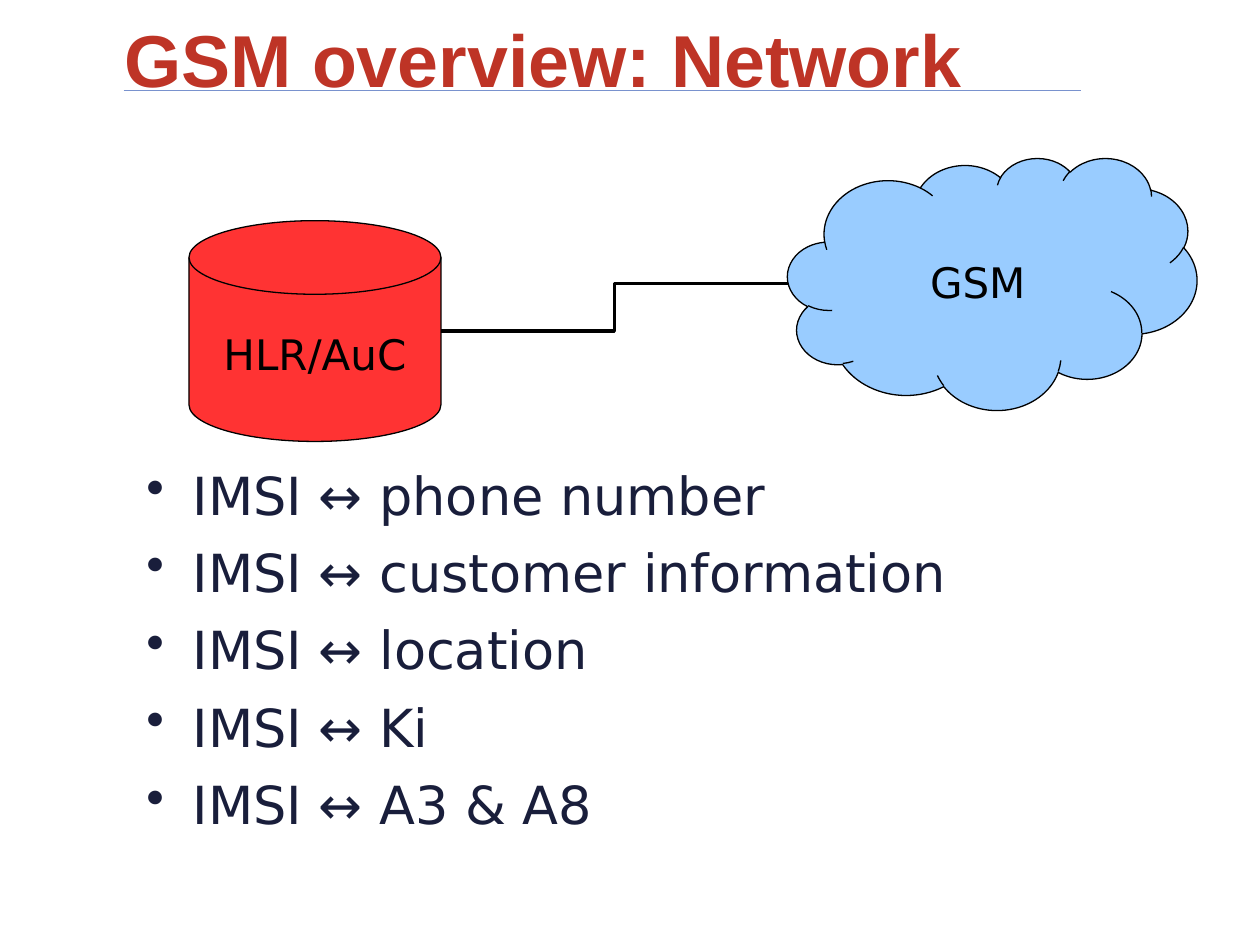
"""Build the GSM network overview slide."""
import pptx
import pptx.dml.color
import pptx.enum.shapes
import pptx.enum.text
import pptx.oxml
import pptx.oxml.ns
import pptx.util
from lxml import etree

Cm = pptx.util.Cm
Pt = pptx.util.Pt
RGB = pptx.dml.color.RGBColor
KIND = pptx.enum.shapes.MSO_SHAPE
LINK = pptx.enum.shapes.MSO_CONNECTOR
MID = pptx.enum.text.MSO_ANCHOR.MIDDLE
CENTER = pptx.enum.text.PP_ALIGN.CENTER
qn = pptx.oxml.ns.qn

BLACK = RGB(0x00, 0x00, 0x00)
BRICK = RGB(0xBE, 0x34, 0x26)
RULE = RGB(0x79, 0x92, 0xCE)
SKY = RGB(0x99, 0xCC, 0xFF)
RED = RGB(0xFF, 0x33, 0x33)
NAVY = RGB(0x19, 0x1E, 0x3B)
SANS = "DejaVu Sans"
FACTS = ["phone number", "customer information", "location", "Ki", "A3 & A8"]


def style(para, face, size, color, space, bold=False):
    para.line_spacing = space
    font = para.font
    font.name, font.size, font.bold = face, Pt(size), bold
    font.color.rgb = color


def add_box(slide, left, top, width, height, pads=(0, 0, 0, 0)):
    box = slide.shapes.add_textbox(Cm(left), Cm(top), Cm(width), Cm(height))
    frame = box.text_frame
    frame.word_wrap = True
    (frame.margin_left, frame.margin_top,
     frame.margin_right, frame.margin_bottom) = map(Cm, pads)
    return frame


def add_title(slide, text):
    frame = add_box(slide, 2.51, -0.15, 22.73, 2.21)
    frame.vertical_anchor = MID
    para = frame.paragraphs[0]
    para.text = text
    style(para, "Arial", 42, BRICK, 1.24, True)


def add_line(slide, kind, start, end, color, width):
    line = slide.shapes.add_connector(kind, *map(Cm, start + end))
    line.line.color.rgb = color
    line.line.width = Pt(width)
    etree.SubElement(line._element.spPr, qn("a:effectLst"))


def add_node(slide, kind, place, fill, text, wrap):
    node = slide.shapes.add_shape(kind, *map(Cm, place))
    node.shadow.inherit = False
    node.fill.solid()
    node.fill.fore_color.rgb = fill
    node.line.color.rgb = BLACK
    node.line.width = Pt(0)
    frame = node.text_frame
    frame.word_wrap = wrap
    frame.vertical_anchor = MID
    para = frame.paragraphs[0]
    para.text = text
    para.alignment = CENTER
    style(para, SANS, 24, BLACK, 1.16)


def add_dot(para):
    props = para._p.get_or_add_pPr()
    props.set("marL", str(Cm(0.94)))
    props.set("indent", str(Cm(-0.94)))
    etree.SubElement(props, qn("a:buChar"), char="•")


def add_list(slide, facts):
    frame = add_box(slide, 2.95, 9.2, 16.74, 8.58, (0, 0.1, 0.05, 0))
    for num, fact in enumerate(facts):
        para = frame.add_paragraph() if num else frame.paragraphs[0]
        para.text = f"IMSI ↔ {fact}"
        add_dot(para)
        style(para, SANS, 30, NAVY, 1.02)
        para.space_before = Pt(7.5 if num else 0)


def main():
    deck = pptx.Presentation()
    deck.slide_width, deck.slide_height = Cm(25.4), Cm(19.05)
    slide = deck.slides.add_slide(deck.slide_layouts[6])
    add_line(slide, LINK.STRAIGHT, (2.49, 1.83), (21.79, 1.83), RULE, 0.75)
    add_title(slide, "GSM overview: Network")
    add_node(slide, KIND.CLOUD, (15.88, 3.18, 8.25, 5.08), SKY, "GSM", False)
    add_node(slide, KIND.FLOWCHART_MAGNETIC_DISK, (3.81, 4.45, 5.08, 4.45),
             RED, "HLR/AuC", True)
    add_line(slide, LINK.ELBOW, (15.88, 5.72), (8.89, 6.67), BLACK, 0)
    add_list(slide, FACTS)
    deck.save("out.pptx")


if __name__ == "__main__":
    main()
